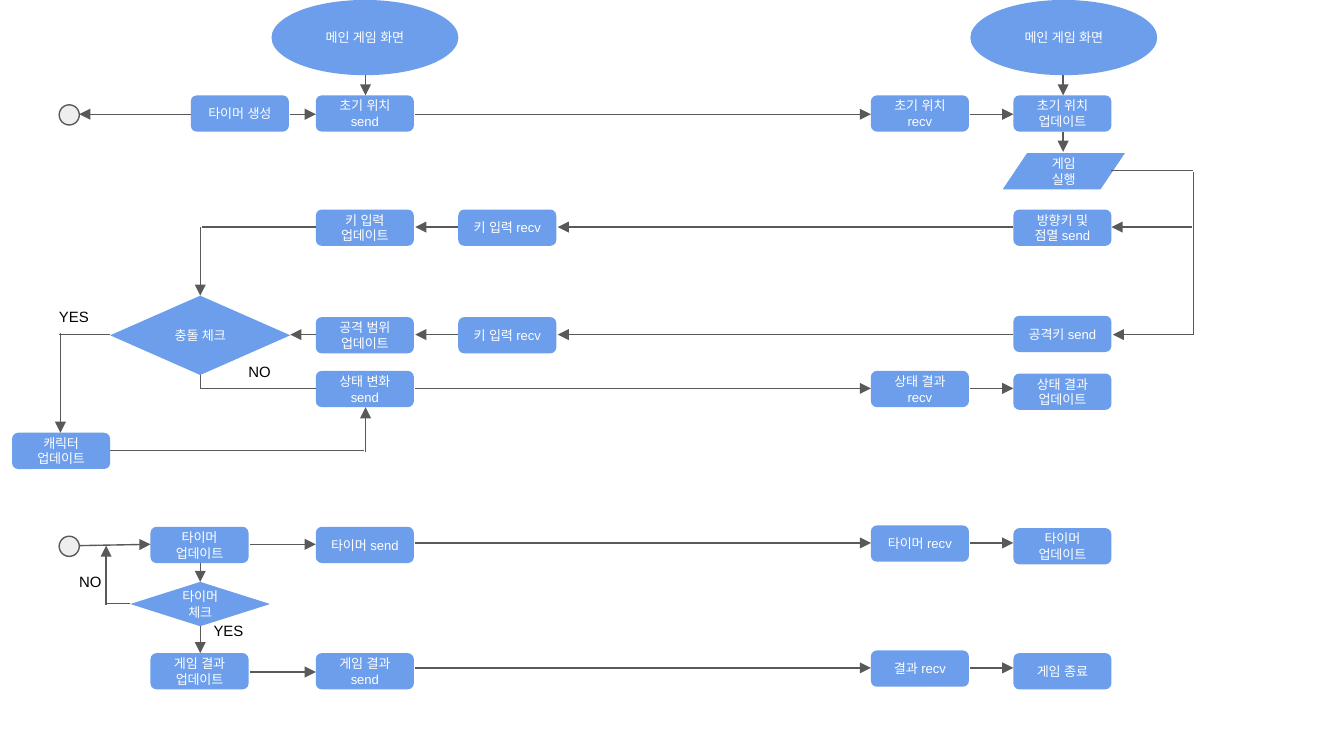
from dataclasses import dataclass
from lxml.etree import SubElement
from pptx import Presentation
from pptx.dml.color import RGBColor
from pptx.enum.shapes import MSO_CONNECTOR, MSO_SHAPE
from pptx.enum.text import MSO_ANCHOR, MSO_AUTO_SIZE, PP_ALIGN
from pptx.oxml.ns import qn
from pptx.util import Inches, Pt


@dataclass(frozen=True)
class Theme:
    blue: str = "6D9EEB"
    gray: str = "595959"
    pale: str = "EEEEEE"
    white: str = "FFFFFF"
    black: str = "000000"
    font: str = "Arial"
    node: float = 7
    label: float = 8
    rule: float = 0.75


def write(frame, text, *, size, color, font, align=None, anchor=None):
    frame.word_wrap = True
    frame.vertical_anchor = anchor
    frame.margin_left = frame.margin_right = Inches(0.1)
    frame.margin_top = frame.margin_bottom = Inches(0.1)
    para = frame.paragraphs[0]
    para.alignment = align
    run = para.add_run()
    run.text = text
    run.font.size = Pt(size)
    run.font.name = font
    run.font.color.rgb = RGBColor.from_string(color)
    SubElement(run.font._element, qn("a:ea"), typeface=font)


class Chart:
    """Draw flow chart parts on one slide."""

    def __init__(self, slide, theme):
        self.shapes, self.theme = slide.shapes, theme

    def shape(self, kind, place, fill):
        item = self.shapes.add_shape(kind, *map(Inches, place))
        item.shadow.inherit = False
        item.fill.solid()
        item.fill.fore_color.rgb = RGBColor.from_string(fill)
        item.line.fill.background()
        return item

    def node(self, kind, place, text):
        item = self.shape(kind, place, self.theme.blue)
        write(item.text_frame, text, size=self.theme.node, color=self.theme.white,
              font=self.theme.font, align=PP_ALIGN.CENTER, anchor=MSO_ANCHOR.MIDDLE)

    def dot(self, left, top):
        item = self.shape(MSO_SHAPE.FLOWCHART_CONNECTOR, (left, top, 0.15, 0.15), self.theme.pale)
        self.ink(item.line)

    def label(self, left, top, text):
        box = self.shapes.add_textbox(*map(Inches, (left, top, 0.48, 0.34)))
        write(box.text_frame, text, size=self.theme.label,
              color=self.theme.black, font=self.theme.font)
        box.text_frame.auto_size = MSO_AUTO_SIZE.SHAPE_TO_FIT_TEXT

    def ink(self, line):
        line.color.rgb = RGBColor.from_string(self.theme.gray)
        line.width = Pt(self.theme.rule)

    def line(self, ends, arrow=False, kind=MSO_CONNECTOR.STRAIGHT):
        link = self.shapes.add_connector(kind, *map(Inches, ends))
        self.ink(link.line)
        props = link._element.spPr
        if arrow:
            SubElement(props.find(qn("a:ln")), qn("a:tailEnd"), type="triangle")
        SubElement(props, qn("a:effectLst"))
        return props

    def elbow(self, x1, y1, x2, y2):
        mid_x, mid_y = (x1 + x2) / 2, (y1 + y2) / 2
        half_x, half_y = (y2 - y1) / 2, (x2 - x1) / 2
        ends = mid_x + half_x, mid_y - half_y, mid_x - half_x, mid_y + half_y
        props = self.line(ends, kind=MSO_CONNECTOR.ELBOW)
        props.find(qn("a:xfrm")).set("rot", str(270 * 60000))
        props.find(qn("a:prstGeom")).set("prst", "bentConnector2")


STEP = 0.73, 0.27
COLS = {
    0.09: [(3.22, "캐릭터 업데이트")],
    1.12: [(3.92, "타이머 업데이트"), (4.86, "게임 결과 업데이트")],
    1.42: [(0.71, "타이머 생성")],
    2.35: [(0.71, "초기 위치 send"), (1.56, "키 입력 업데이트"),
           (2.36, "공격 범위 업데이트"), (2.76, "상태 변화 send"),
           (3.92, "타이머 send"), (4.86, "게임 결과 send")],
    3.41: [(1.56, "키 입력 recv"), (2.36, "키 입력 recv")],
    6.48: [(0.71, "초기 위치 recv"), (2.76, "상태 결과 recv"),
           (3.91, "타이머 recv"), (4.84, "결과 recv")],
    7.54: [(0.71, "초기 위치 업데이트"), (1.56, "방향키 및 점멸 send"),
           (2.35, "공격키 send"), (2.78, "상태 결과 업데이트"),
           (3.93, "타이머 업데이트"), (4.86, "게임 종료")],
}
NODES = [
    (MSO_SHAPE.OVAL, (2.02, 0, 1.39, 0.56), "메인 게임 화면"),
    (MSO_SHAPE.OVAL, (7.22, 0, 1.39, 0.56), "메인 게임 화면"),
    (MSO_SHAPE.FLOWCHART_DATA, (7.46, 1.14, 0.91, 0.27), "게임 실행"),
    (MSO_SHAPE.FLOWCHART_DECISION, (0.82, 2.2, 1.34, 0.59), "충돌 체크"),
    (MSO_SHAPE.FLOWCHART_DECISION, (0.97, 4.33, 1.04, 0.33), "타이머 체크"),
]
SEND, SHOW = (3.09, 6.48), (7.22, 7.54)
TAKE, PASS = (7.54, 4.15), (3.41, 3.09)
ACROSS = {
    0.85: [(1.42, 0.59), (2.16, 2.35), SEND, SHOW],
    1.69: [TAKE, PASS, (8.87, 8.27)],
    2.49: [TAKE, PASS, (2.35, 2.16), (8.88, 8.28)],
    2.89: [SEND, SHOW],
    4.04: [SEND, SHOW],
    4.05: [(1.86, 2.35)],
    4.97: [SEND, SHOW],
    5: [(1.86, 2.35)],
}
DOWN = {
    0.45: [(2.48, 3.22)],
    0.79: [(4.5, 4.06)],
    1.49: [(1.69, 2.2), (4.19, 4.33), (4.66, 4.86)],
    2.72: [(0.56, 0.71), (3.36, 3.03)],
    7.91: [(0.56, 0.71), (0.98, 1.13)],
}
PLAIN = [
    (8.27, 1.27, 8.88, 1.27), (8.88, 1.28, 8.88, 2.49),
    (2.35, 1.69, 1.5, 1.69), (0.82, 2.49, 0.44, 2.49),
    (0.82, 3.35, 2.71, 3.35), (0.97, 4.49, 0.79, 4.49),
]
LABELS = [(1.75, 2.63, "NO"), (0.34, 2.22, "YES"), (1.49, 4.56, "YES"), (0.49, 4.19, "NO")]

deck = Presentation()
deck.slide_width = Inches(10)
deck.slide_height = deck.slide_width * 9 // 16
chart = Chart(deck.slides.add_slide(deck.slide_layouts[6]), Theme())

for node in NODES:
    chart.node(*node)
for left, steps in COLS.items():
    for top, text in steps:
        chart.node(MSO_SHAPE.ROUNDED_RECTANGLE, (left, top, *STEP), text)
for top in (0.78, 3.99):
    chart.dot(0.44, top)
for y, spans in ACROSS.items():
    for start, end in spans:
        chart.line((start, y, end, y), arrow=True)
for x, spans in DOWN.items():
    for start, end in spans:
        chart.line((x, start, x, end), arrow=True)
chart.line((0.59, 4.06, 1.12, 4.05), arrow=True)
for ends in PLAIN:
    chart.line(ends)
chart.elbow(1.49, 2.79, 2.35, 2.89)
for label in LABELS:
    chart.label(*label)

deck.save("out.pptx")
